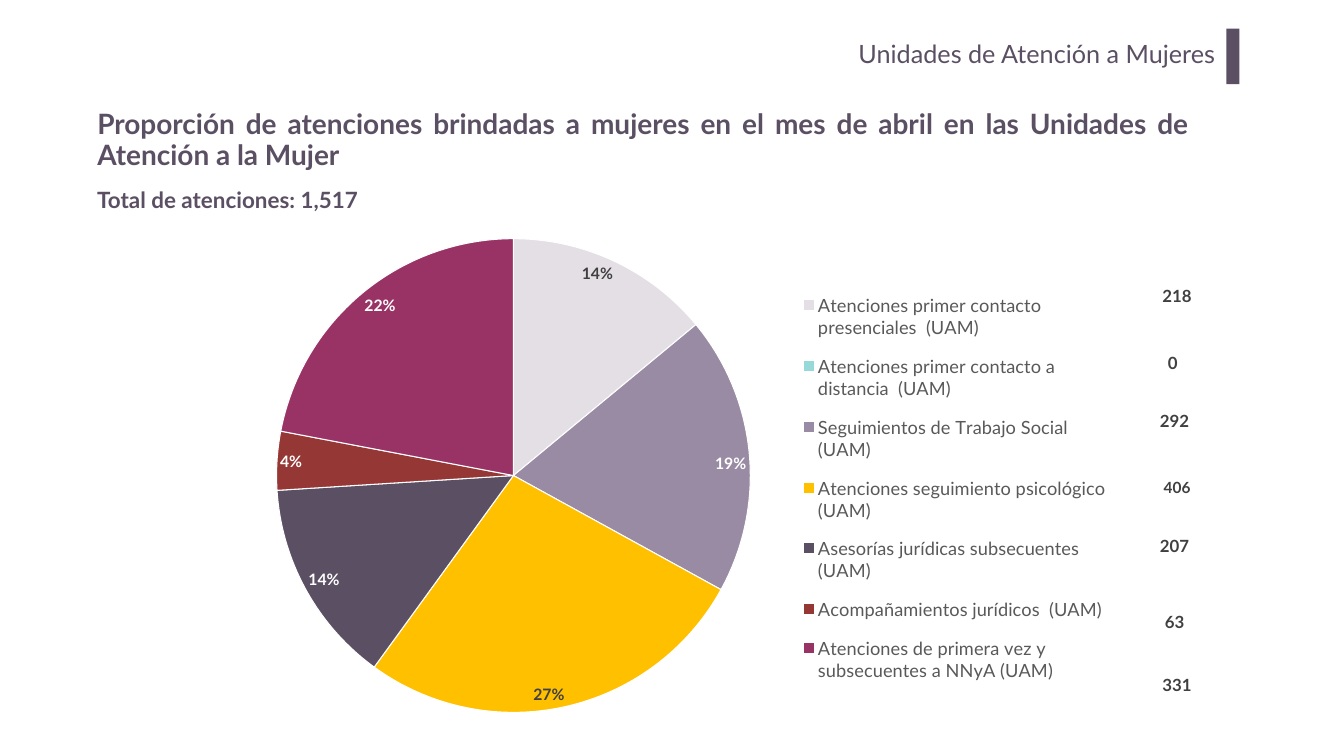
from dataclasses import dataclass

import pptx
import pptx.chart.data
import pptx.dml.color
import pptx.enum.chart
import pptx.enum.shapes
import pptx.enum.text
import pptx.util
from lxml import etree

Pt = pptx.util.Pt
ALIGN = pptx.enum.text.PP_ALIGN
ANCHOR = pptx.enum.text.MSO_ANCHOR
FONT = "Lato"
COLORS = {
    "plum": "5B4F63", "dark": "404040", "gray": "595959", "white": "FFFFFF",
    "mist": "E3DFE5", "aqua": "97D9D9", "mauve": "998BA3", "gold": "FFC000",
    "brick": "953735", "berry": "993366",
}


@dataclass
class Slice:
    name: str
    share: int
    color: str
    label: str


@dataclass
class Count:
    text: str
    left: float
    top: float
    width: float
    height: float
    size: float = 24


SLICES = [
    Slice("Atenciones primer contacto presenciales  (UAM)", 14, "mist", "dark"),
    Slice("Atenciones primer contacto a distancia  (UAM)", 0, "aqua", "dark"),
    Slice("Seguimientos de Trabajo Social  (UAM)", 19, "mauve", "white"),
    Slice("Atenciones seguimiento psicológico (UAM)", 27, "gold", "dark"),
    Slice("Asesorías jurídicas subsecuentes (UAM)", 14, "plum", "white"),
    Slice("Acompañamientos jurídicos  (UAM)", 4, "brick", "white"),
    Slice("Atenciones de primera vez y subsecuentes a NNyA (UAM)", 22, "berry", "white"),
]
COUNTS = [
    Count("218", 1651.7, 404.6, 59.8, 36.7),
    Count("0", 1655.3, 499.7, 40.3, 21.6),
    Count("292", 1648, 583.2, 59.8, 20.2),
    Count("406", 1651.7, 679, 59.8, 22.3, 22),
    Count("207", 1646, 761.8, 64, 51.8),
    Count("63", 1656.7, 869.8, 42.5, 22.3),
    Count("331", 1651.7, 960.5, 59.8, 22.3),
]


def paint(name: str):
    return pptx.dml.color.RGBColor.from_string(COLORS[name])


def style(font, size: float, color: str, bold: bool = False) -> None:
    font.name, font.size, font.bold = FONT, Pt(size), bold
    font.color.rgb = paint(color)


def write(shape, text: str, size: float, color: str, bold: bool, align) -> None:
    frame = shape.text_frame
    frame.word_wrap = True
    frame.text = text
    line = frame.paragraphs[0]
    line.alignment = align
    style(line.runs[0].font, size, color, bold)


def add_text(slide, box: tuple, text: str, size: float, color: str,
             bold: bool = True, align=ALIGN.LEFT):
    shape = slide.shapes.add_textbox(*map(Pt, box))
    write(shape, text, size, color, bold, align)
    return shape


def add_title(slide) -> None:
    title = slide.shapes.title
    title.left, title.top, title.width, title.height = map(Pt, (131.8, 149, 1573, 104.4))
    write(title, "Proporción de atenciones brindadas a mujeres en el mes de abril "
          "en las Unidades de Atención a la Mujer", 40, "plum", True, ALIGN.JUSTIFY)
    title.text_frame.auto_size = pptx.enum.text.MSO_AUTO_SIZE.NONE
    title.text_frame.vertical_anchor = ANCHOR.MIDDLE
    title.text_frame.paragraphs[0].line_spacing = 0.9


def add_header(slide) -> None:
    head = add_text(slide, (288.7, 48.2, 1461.6, 73.4), "Unidades de Atención a Mujeres",
                    36, "plum", False, ALIGN.RIGHT)
    frame = head.text_frame
    frame.margin_left = frame.margin_right = Pt(14.4)
    frame.margin_top = frame.margin_bottom = Pt(7.2)
    bar = slide.shapes.add_shape(pptx.enum.shapes.MSO_SHAPE.RECTANGLE,
                                 *map(Pt, (1751.8, 41, 18.7, 79.2)))
    bar.shadow.inherit = False
    bar.fill.solid()
    bar.fill.fore_color.rgb = paint("plum")
    bar.line.fill.background()


def tag(node, name: str) -> str:
    return "{%s}%s" % (node.nsmap["c"], name)


def make_layout(node, inner: bool, spot: tuple):
    """Manual chart layout; spot holds x, y, w, h as shares of the chart."""
    layout = etree.Element(tag(node, "layout"))
    manual = etree.SubElement(layout, tag(node, "manualLayout"))
    parts = [("layoutTarget", "inner")] if inner else []
    parts += [("xMode", "edge"), ("yMode", "edge")]
    parts += zip("xywh", map(str, spot))
    for name, val in parts:
        etree.SubElement(manual, tag(node, name), val=val)
    return layout


def place_parts(chart) -> None:
    root = chart.plots[0]._element.getparent()
    for old in root.findall(tag(root, "layout")):
        root.remove(old)
    root.insert(0, make_layout(root, True, (0.1, 0.01, 0.48, 0.97)))
    legend = chart.legend._element
    for old in legend.findall(tag(legend, "layout")):
        legend.remove(old)
    side = legend.find(tag(legend, "legendPos"))
    side.addnext(make_layout(legend, False, (0.62, 0.09, 0.33, 0.86)))


def set_labels(series) -> None:
    labels = series.data_labels
    labels.show_percentage, labels.show_value = True, False
    labels.number_format, labels.number_format_is_linked = "0%", False
    labels.position = pptx.enum.chart.XL_LABEL_POSITION.INSIDE_END
    style(labels.font, 22.5, "dark", True)
    root = labels._element
    for i, item in enumerate(SLICES):
        if item.label == "white":
            label = series.points[i].data_label
            style(label.font, 22.5, "white", True)
            label.position = pptx.enum.chart.XL_LABEL_POSITION.INSIDE_END
            node = root.findall(tag(root, "dLbl"))[-1]
            node.find(tag(root, "showVal")).set("val", "0")
            node.find(tag(root, "showPercent")).set("val", "1")
    empty = [i for i, item in enumerate(SLICES) if not item.share]
    for i in empty:
        node = etree.Element(tag(root, "dLbl"))
        etree.SubElement(node, tag(root, "idx"), val=str(i))
        etree.SubElement(node, tag(root, "delete"), val="1")
        root.insert(0, node)


def add_pie(slide) -> None:
    data = pptx.chart.data.CategoryChartData()
    data.categories = [item.name for item in SLICES]
    data.add_series("Series 1", [item.share for item in SLICES])
    chart = slide.shapes.add_chart(pptx.enum.chart.XL_CHART_TYPE.PIE,
                                   *map(Pt, (252, 334, 1416.2, 697.7)), data).chart
    chart.has_title = False
    chart.font.name, chart.font.size = "Arial", Pt(10)
    chart.has_legend = True
    chart.legend.position = pptx.enum.chart.XL_LEGEND_POSITION.RIGHT
    chart.legend.include_in_layout = False
    style(chart.legend.font, 26, "gray")
    chart.plots[0].vary_by_categories = True
    series = chart.plots[0].series[0]
    for i, item in enumerate(SLICES):
        form = series.points[i].format
        form.fill.solid()
        form.fill.fore_color.rgb = paint(item.color)
        form.line.color.rgb = paint("white")
        form.line.width = Pt(1.5)
    set_labels(series)
    place_parts(chart)


def main() -> None:
    deck = pptx.Presentation()
    deck.slide_width, deck.slide_height = Pt(1920), Pt(1080)
    slide = deck.slides.add_slide(deck.slide_layouts[5])
    add_header(slide)
    add_title(slide)
    add_text(slide, (131.8, 262.8, 406, 46), "Total de atenciones: 1,517", 32, "plum")
    add_pie(slide)
    for count in COUNTS:
        add_text(slide, (count.left, count.top, count.width, count.height),
                 count.text, count.size, "dark", align=ALIGN.CENTER)
    deck.save("out.pptx")


if __name__ == "__main__":
    main()
